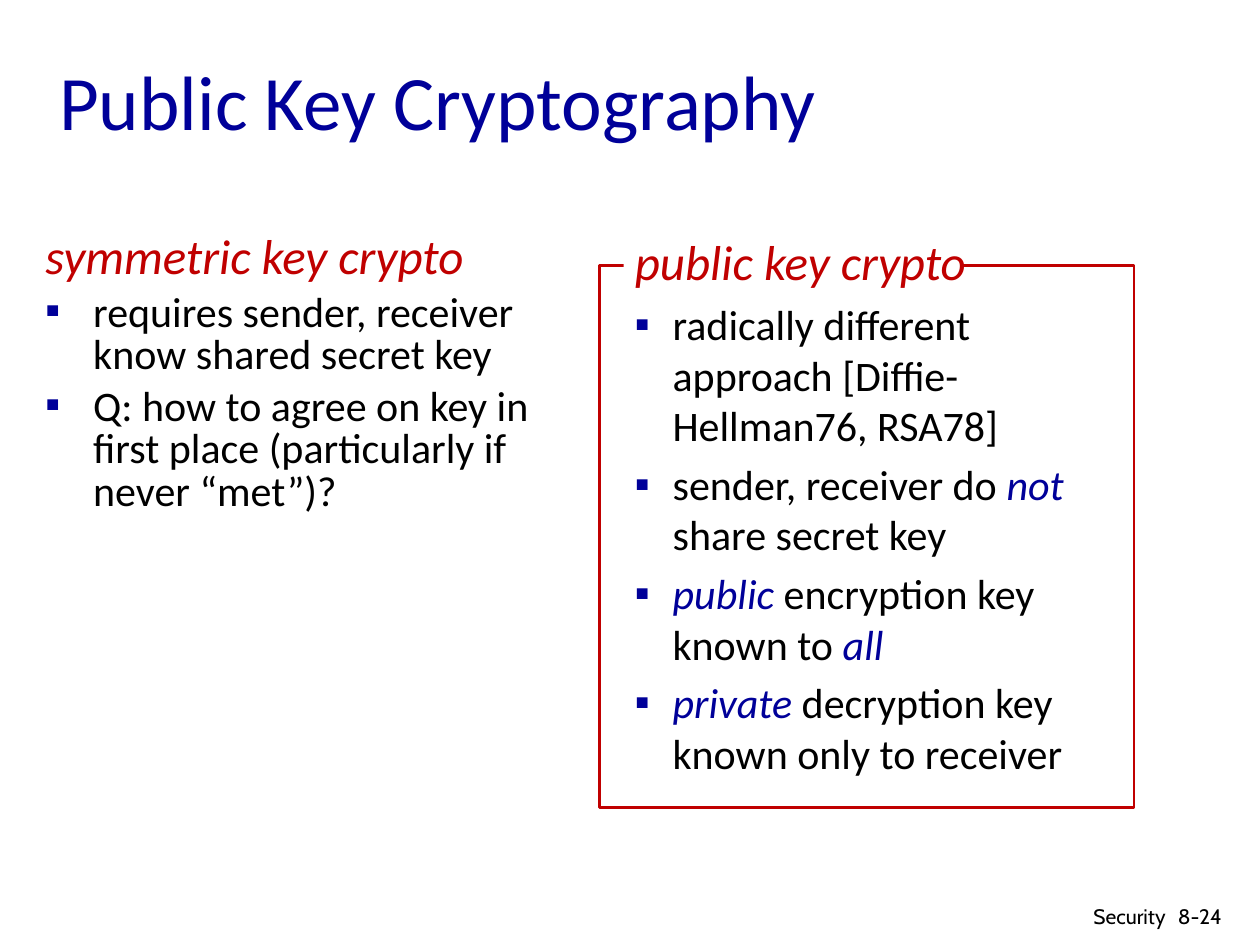
from lxml.etree import SubElement
from pptx import Presentation
from pptx.dml.color import RGBColor
from pptx.enum.shapes import MSO_SHAPE
from pptx.enum.text import MSO_ANCHOR, MSO_AUTO_SIZE, PP_ALIGN
from pptx.oxml.ns import qn
from pptx.util import Inches, Pt

BLUE, RED, BLACK, WHITE = "000099", "C00000", "000000", "FFFFFF"


def add_run(p, text, size, color, font="Calibri", italic=False):
    r = p.add_run()
    r.text = text
    r.font.size, r.font.name, r.font.italic = Pt(size), font, italic
    r.font.color.rgb = RGBColor.from_string(color)


def fill_list(tf, heading, items, indent, spacing):
    tf.word_wrap, tf.auto_size = True, MSO_AUTO_SIZE.NONE
    tf.vertical_anchor = MSO_ANCHOR.TOP
    for i, runs in enumerate([[heading]] + items):
        p = tf.paragraphs[0] if i == 0 else tf.add_paragraph()
        pPr = p._p.get_or_add_pPr()
        left = indent if i else 0.38
        pPr.set("marL", str(Inches(left)))
        pPr.set("indent", str(-Inches(left)))
        if i:
            SubElement(SubElement(pPr, qn("a:buClr")), qn("a:srgbClr"), val=BLUE)
            SubElement(pPr, qn("a:buFont"), typeface="Calibri")
            SubElement(pPr, qn("a:buChar"), char="▪")
        else:
            SubElement(pPr, qn("a:buNone"))
        p.line_spacing = spacing
        p.space_before = Pt(4.8 if i else 0)
        for text in runs:
            marked = text.startswith("*")
            color = RED if i == 0 else BLUE if marked else BLACK
            add_run(p, text.lstrip("*"), 24 if i else 28, color, italic=marked or i == 0)


prs = Presentation()
prs.slide_width, prs.slide_height = Inches(10), Inches(7.5)
s = prs.slides.add_slide(prs.slide_layouts[1])

title, body = s.placeholders[0], s.placeholders[1]
for sp, box in ((title, (0.37, 0.17, 8.5, 1.25)), (body, (0.26, 1.81, 4.17, 5.08))):
    sp.left, sp.top, sp.width, sp.height = map(Inches, box)

tf = title.text_frame
tf.vertical_anchor, tf.auto_size = MSO_ANCHOR.MIDDLE, MSO_AUTO_SIZE.NONE
p = tf.paragraphs[0]
p.alignment = PP_ALIGN.LEFT
add_run(p, "Public Key Cryptography", 44, BLUE)

fill_list(body.text_frame, "symmetric key crypto", [
    ["requires sender, receiver know shared secret key"],
    ["Q: how to agree on key in first place (particularly if never “met”)?"],
], 0.38, 0.85)

for box, line in (((4.76, 2.11, 4.24, 4.3), RED), ((4.95, 1.82, 2.68, 0.55), None)):
    sp = s.shapes.add_shape(MSO_SHAPE.RECTANGLE, *map(Inches, box))
    sp.shadow.inherit = False
    sp.fill.solid()
    sp.fill.fore_color.rgb = RGBColor.from_string(WHITE)
    if line:
        sp.line.color.rgb = RGBColor.from_string(line)
        sp.line.width = Pt(1.5)
    else:
        sp.line.fill.background()

public = s.shapes.add_textbox(*map(Inches, (4.94, 1.79, 4, 5.08)))
fill_list(public.text_frame, "public key crypto", [
    ["radically different approach [Diffie-Hellman76, RSA78]"],
    ["sender, receiver do ", "*not", " share secret key"],
    ["*public ", "encryption key known to ", "*all"],
    ["*private", " decryption key known only to receiver"],
], 0.3, 1.0)

for text, box, align in (("8-24", (9.25, 7.12, 0.75, 0.3), PP_ALIGN.LEFT),
                         ("Security", (8.56, 7.12, 0.79, 0.28), PP_ALIGN.RIGHT)):
    tf = s.shapes.add_textbox(*map(Inches, box)).text_frame
    tf.word_wrap = True
    p = tf.paragraphs[0]
    p.alignment = align
    add_run(p, text, 12, BLACK, "Cabin")

prs.save("out.pptx")
